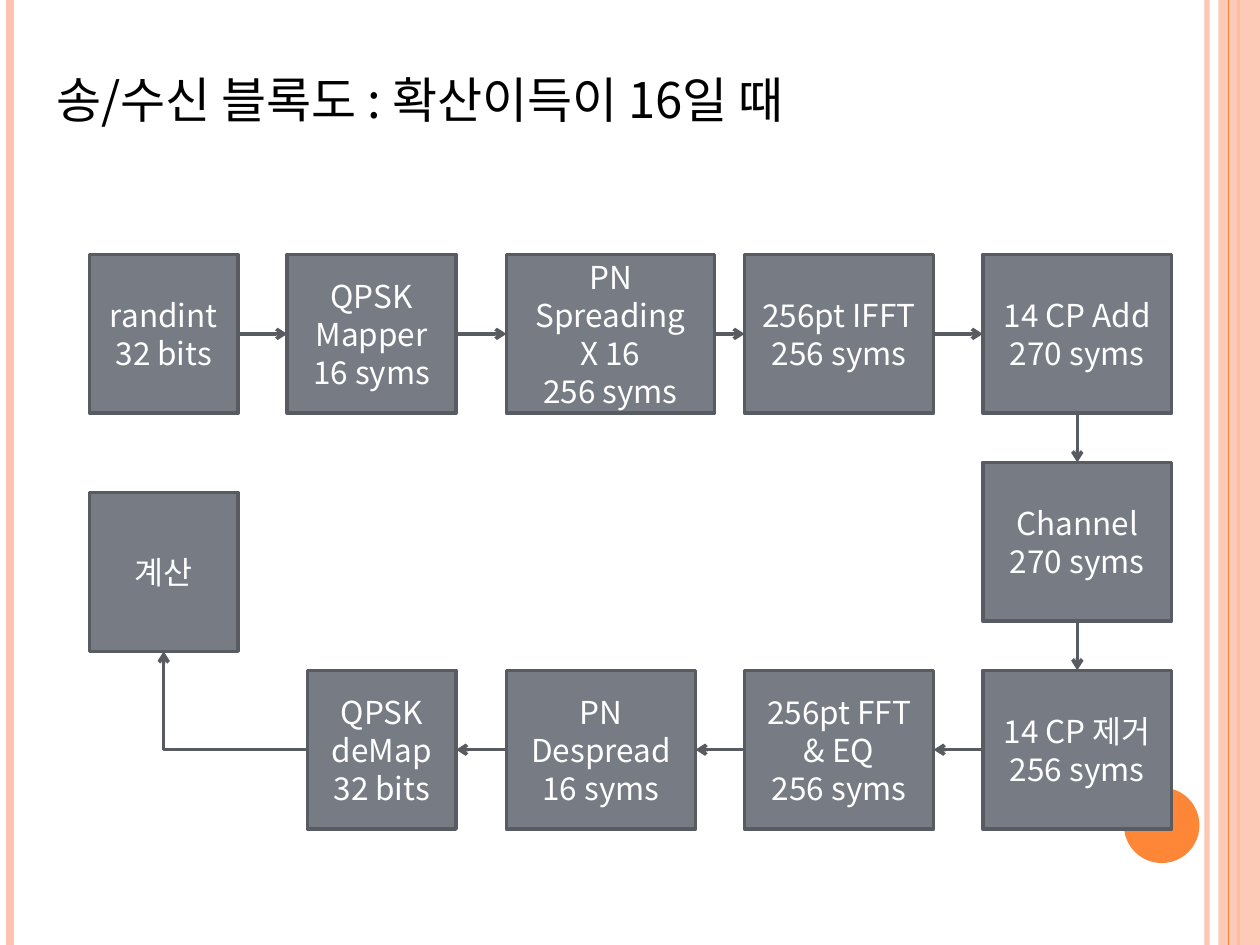
from lxml import etree
from pptx import Presentation
from pptx.dml.color import RGBColor
from pptx.enum import shapes, text
from pptx.oxml import ns
from pptx.util import Inches, Pt

FONT = "Noto Sans CJK KR"
PEACH = RGBColor(0xFE, 0xC3, 0xAE)
ORANGE = RGBColor(0xFE, 0x86, 0x37)
GRAY = RGBColor(0x77, 0x7C, 0x84)
EDGE = RGBColor(0x58, 0x5C, 0x62)
WHITE = RGBColor(0xFF, 0xFF, 0xFF)
BLACK = RGBColor(0x00, 0x00, 0x00)

TOP, LEFT, BOTTOM, RIGHT = range(4)
BLOCK_H = 1.26
ROWS = [2.02, 3.67, 5.32]
COLS = [0.71, 2.28, 4.02, 5.91, 7.8]


def add_run(p, words, size, color):
    r = p.add_run()
    r.text = words
    r.font.size = Pt(size)
    r.font.name = FONT
    r.font.color.rgb = color
    etree.SubElement(r.font._element, ns.qn("a:ea"), typeface=FONT)


def set_alpha(element, percent):
    color = element.find(".//" + ns.qn("a:srgbClr"))
    etree.SubElement(color, ns.qn("a:alpha"), val=str(percent * 1000))


def style_line(cxn, color, width):
    cxn.line.color.rgb = color
    cxn.line.width = Pt(width)
    etree.SubElement(cxn._element.spPr, ns.qn("a:effectLst"))


def add_filled(slide, kind, box, color):
    sp = slide.shapes.add_shape(kind, *map(Inches, box))
    sp.shadow.inherit = False
    sp.fill.solid()
    sp.fill.fore_color.rgb = color
    sp.line.fill.background()
    return sp


def add_stripe(slide, x, height, color, width):
    cxn = slide.shapes.add_connector(
        shapes.MSO_CONNECTOR.STRAIGHT, Inches(x), 0, Inches(x), Inches(height))
    style_line(cxn, color, width)
    return cxn


def add_frame(slide, width, height):
    pale = add_stripe(slide, width - 0.42, height, PEACH, 3)
    set_alpha(pale._element, 93)
    add_stripe(slide, 0.08, height, PEACH, 4.5)
    add_stripe(slide, width - 0.17, height, ORANGE, 1.5)
    band = add_filled(slide, shapes.MSO_SHAPE.RECTANGLE,
                      (width - 0.33, 0, 0.33, height), PEACH)
    set_alpha(band._element, 87)
    add_stripe(slide, width - 0.25, height, ORANGE, 0.75)
    add_filled(slide, shapes.MSO_SHAPE.OVAL,
               (width - 1.08, height - 1.25, 0.6, 0.6), ORANGE)


def add_title(slide, box, words):
    tf = slide.shapes.add_textbox(*map(Inches, box)).text_frame
    tf.word_wrap = True
    add_run(tf.paragraphs[0], words, 28, BLACK)


def add_block(slide, box, lines):
    sp = add_filled(slide, shapes.MSO_SHAPE.RECTANGLE, box, GRAY)
    sp.line.color.rgb = EDGE
    sp.line.width = Pt(2)
    tf = sp.text_frame
    tf.word_wrap = True
    tf.vertical_anchor = text.MSO_ANCHOR.MIDDLE
    for i, words in enumerate(lines):
        p = tf.add_paragraph() if i else tf.paragraphs[0]
        p.alignment = text.PP_ALIGN.CENTER
        add_run(p, words, 18, WHITE)
    return sp


def add_arrow(slide, start, start_site, end, end_site,
              kind=shapes.MSO_CONNECTOR.STRAIGHT):
    cxn = slide.shapes.add_connector(kind, 0, 0, 0, 0)
    cxn.begin_connect(start, start_site)
    cxn.end_connect(end, end_site)
    style_line(cxn, EDGE, 2)
    etree.SubElement(cxn.line._get_or_add_ln(), ns.qn("a:tailEnd"), type="arrow")
    return cxn


def add_flow(slide):
    blocks = [
        (COLS[0], ROWS[0], 1.18, ["randint", "32 bits"]),
        (COLS[1], ROWS[0], 1.34, ["QPSK", "Mapper", "16 syms"]),
        (COLS[2], ROWS[0], 1.65, ["PN", "Spreading", "X 16", "256 syms"]),
        (COLS[3], ROWS[0], 1.5, ["256pt IFFT", "256 syms"]),
        (COLS[4], ROWS[0], 1.5, ["14 CP Add", "270 syms"]),
        (COLS[4], ROWS[1], 1.5, ["Channel", "270 syms"]),
        (COLS[4], ROWS[2], 1.5, ["14 CP 제거", "256 syms"]),
        (COLS[3], ROWS[2], 1.5, ["256pt FFT", "& EQ", "256 syms"]),
        (COLS[2], ROWS[2], 1.5, ["PN", "Despread", "16 syms"]),
        (2.44, ROWS[2], 1.18, ["QPSK", "deMap", "32 bits"]),
        (COLS[0], 3.91, 1.18, ["계산"]),
    ]
    steps = [add_block(slide, (x, y, w, BLOCK_H), lines)
             for x, y, w, lines in blocks]
    sites = [(RIGHT, LEFT)] * 4 + [(BOTTOM, TOP)] * 2 + [(LEFT, RIGHT)] * 3
    for start, end, (leave, enter) in zip(steps, steps[1:], sites):
        add_arrow(slide, start, leave, end, enter)
    bend = add_arrow(slide, steps[-2], LEFT, steps[-1], BOTTOM,
                     shapes.MSO_CONNECTOR.ELBOW)
    bend._element.spPr.find(ns.qn("a:prstGeom")).set("prst", "bentConnector2")


def main():
    prs = Presentation()
    prs.slide_width, prs.slide_height = Inches(10), Inches(7.5)
    slide = prs.slides.add_slide(prs.slide_layouts[6])
    add_frame(slide, 10, 7.5)
    add_title(slide, (0.35, 0.5, 9.29, 0.57), "송/수신 블록도 : 확산이득이 16일 때")
    add_flow(slide)
    prs.save("out.pptx")


if __name__ == "__main__":
    main()
